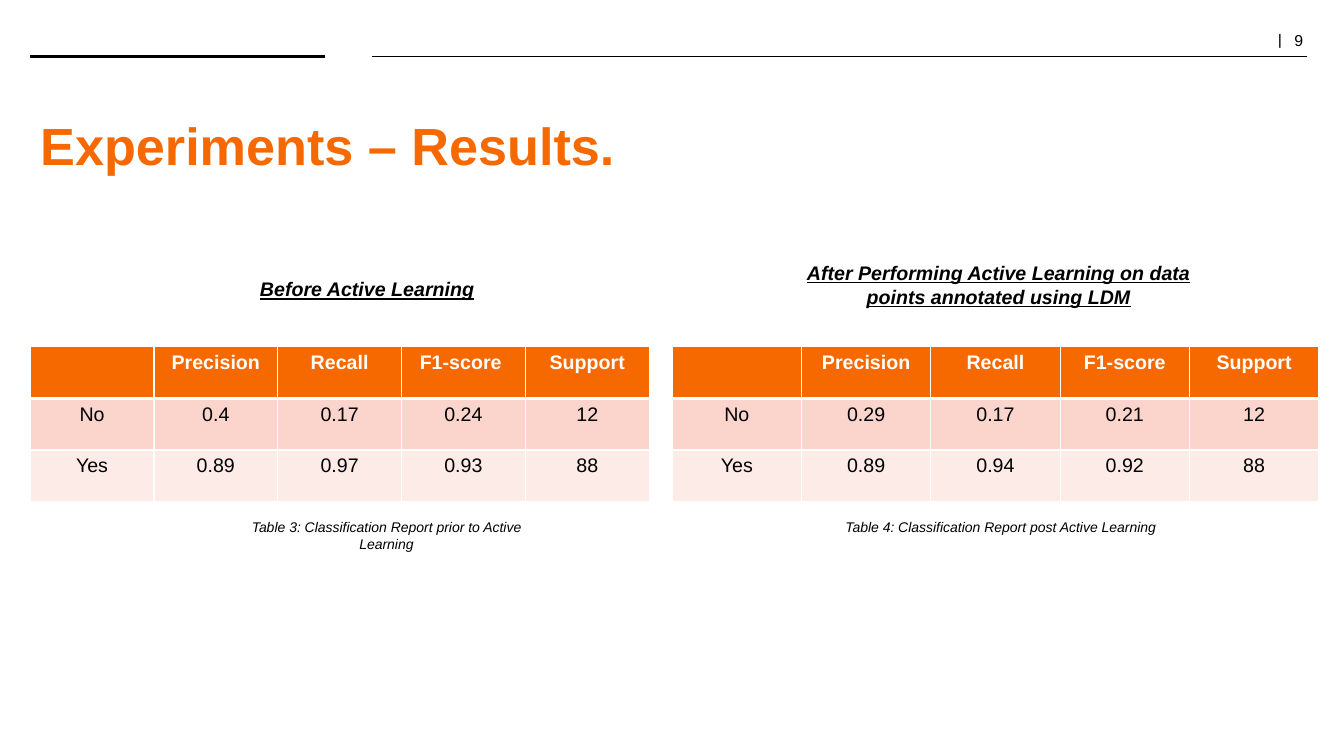
"""Build the results slide comparing classification before and after active learning."""
from dataclasses import dataclass

import pptx
import pptx.dml.color
import pptx.enum.shapes
import pptx.enum.text
import pptx.oxml
import pptx.oxml.ns
import pptx.presentation
import pptx.shapes.base
import pptx.slide
import pptx.table
import pptx.text.text
import pptx.util

Cm = pptx.util.Cm
Pt = pptx.util.Pt
RGBColor = pptx.dml.color.RGBColor
Align = pptx.enum.text.PP_ALIGN
Anchor = pptx.enum.text.MSO_ANCHOR

BLACK = RGBColor(0x00, 0x00, 0x00)
WHITE = RGBColor(0xFF, 0xFF, 0xFF)
ORANGE = RGBColor(0xF6, 0x69, 0x00)
PINK = RGBColor(0xFB, 0xD4, 0xCC)
PALE_PINK = RGBColor(0xFD, 0xEB, 0xE7)
ROW_FILLS = (ORANGE, PINK, PALE_PINK)
TABLE_TOP = 8.74
ROW_HEIGHT = 1.3


@dataclass(frozen=True)
class Box:
    left: float
    top: float
    width: float
    height: float


@dataclass(frozen=True)
class Label:
    text: str
    box: Box
    size: float
    bold: bool = False
    underline: bool = False
    space_before: float = 0


@dataclass(frozen=True)
class Report:
    left: float
    column_width: float
    rows: tuple[tuple[str, ...], ...]


@dataclass(frozen=True)
class Rule:
    start: float
    end: float
    weight: float


RULES = (Rule(0.76, 8.18, 2), Rule(9.37, 32.94, 1))

LABELS = (
    Label("Before Active Learning", Box(4.34, 6.86, 9.83, 2.44), 14,
          bold=True, underline=True, space_before=2.8),
    Label("After Performing Active Learning on data points annotated using LDM",
          Box(19.99, 6.45, 10.36, 1.45), 14, bold=True, underline=True),
    Label("Table 3: Classification Report prior to Active Learning",
          Box(6.07, 12.95, 7.34, 1.12), 10),
    Label("Table 4: Classification Report post Active Learning",
          Box(20.35, 12.95, 9.73, 0.69), 10),
)

REPORTS = (
    Report(0.76, 3.12, (
        ("", "Precision", "Recall", "F1-score ", "Support"),
        ("No", "0.4", "0.17", "0.24", "12"),
        ("Yes", "0.89", "0.97", "0.93", "88"),
    )),
    Report(16.94, 3.26, (
        ("", "Precision", "Recall", "F1-score", "Support"),
        ("No", "0.29", "0.17", "0.21", "12"),
        ("Yes", "0.89", "0.94", "0.92", "88"),
    )),
)


def write_text(paragraph: pptx.text.text._Paragraph, text: str, *, size: float,
               color: RGBColor = BLACK, font: str = "Arial", bold: bool = False,
               italic: bool = False, underline: bool = False,
               align: Align = Align.LEFT) -> None:
    """Append a formatted run to a paragraph."""
    paragraph.alignment = align
    run = paragraph.add_run()
    run.text = text
    run.font.name = font
    run.font.size = Pt(size)
    run.font.color.rgb = color
    run.font.bold = bold
    run.font.italic = italic
    run.font.underline = underline


def place(shape: pptx.shapes.base.BaseShape, box: Box) -> None:
    """Move and size a shape."""
    shape.left, shape.top = Cm(box.left), Cm(box.top)
    shape.width, shape.height = Cm(box.width), Cm(box.height)


def add_text_frame(slide: pptx.slide.Slide, box: Box) -> pptx.text.text.TextFrame:
    """Add a wrapping text box and return its frame."""
    shape = slide.shapes.add_textbox(0, 0, 0, 0)
    place(shape, box)
    shape.text_frame.word_wrap = True
    return shape.text_frame


def add_rule(slide: pptx.slide.Slide, rule: Rule) -> None:
    """Draw one header line without a shadow."""
    height = Cm(1.42)
    connector = slide.shapes.add_connector(
        pptx.enum.shapes.MSO_CONNECTOR.STRAIGHT,
        Cm(rule.start), height, Cm(rule.end), height)
    connector.line.color.rgb = BLACK
    connector.line.width = Pt(rule.weight)
    properties = connector._element.spPr
    properties.append(pptx.oxml.parse_xml(
        f'<a:effectLst {pptx.oxml.ns.nsdecls("a")}/>'))


def add_page_number(slide: pptx.slide.Slide) -> None:
    """Write the page number in the top right corner."""
    frame = add_text_frame(slide, Box(31.88, 0.71, 3.45, 0.66))
    frame.vertical_anchor = Anchor.MIDDLE
    paragraph = frame.paragraphs[0]
    paragraph.line_spacing = 0.8
    write_text(paragraph, "|  ", size=12, font="TeX Gyre Schola")
    write_text(paragraph, "9", size=11.3)


def format_title(slide: pptx.slide.Slide) -> None:
    """Fill and format the title placeholder."""
    title = slide.shapes.title
    place(title, Box(0.76, 2.67, 32.51, 1.93))
    frame = title.text_frame
    frame.auto_size = pptx.enum.text.MSO_AUTO_SIZE.NONE
    frame.vertical_anchor = Anchor.MIDDLE
    write_text(frame.paragraphs[0], "Experiments – Results.", size=37.3,
               color=ORANGE, bold=True)


def add_label(slide: pptx.slide.Slide, label: Label) -> None:
    """Add a centred italic heading or caption."""
    paragraph = add_text_frame(slide, label.box).paragraphs[0]
    paragraph.space_before = Pt(label.space_before)
    write_text(paragraph, label.text, size=label.size, bold=label.bold,
               italic=True, underline=label.underline, align=Align.CENTER)


def set_borders(cell: pptx.table._Cell, weights: dict[str, float]) -> None:
    """Give each side of a cell a white border of the given weight."""
    properties = cell._tc.get_or_add_tcPr()
    for index, (side, weight) in enumerate(weights.items()):
        properties.insert(index, pptx.oxml.parse_xml(
            f'<a:ln{side} {pptx.oxml.ns.nsdecls("a")} w="{Pt(weight)}">'
            f'<a:solidFill><a:srgbClr val="{WHITE}"/></a:solidFill></a:ln{side}>'))


def add_report(slide: pptx.slide.Slide, report: Report) -> None:
    """Add one classification report table."""
    row_count, column_count = len(report.rows), len(report.rows[0])
    table = slide.shapes.add_table(
        row_count, column_count, Cm(report.left), Cm(TABLE_TOP),
        Cm(report.column_width * column_count), Cm(ROW_HEIGHT * row_count)).table
    for row_index, values in enumerate(report.rows):
        header = row_index == 0
        weights = {"L": 1, "R": 1, "T": 3 if row_index == 1 else 1,
                   "B": 3 if header else 1}
        for column_index, value in enumerate(values):
            cell = table.cell(row_index, column_index)
            cell.fill.solid()
            cell.fill.fore_color.rgb = ROW_FILLS[row_index]
            set_borders(cell, weights)
            if value:
                write_text(cell.text_frame.paragraphs[0], value, size=14,
                           color=WHITE if header else BLACK, bold=header,
                           align=Align.CENTER)


def main() -> None:
    """Assemble and save the slide."""
    presentation = pptx.Presentation()
    presentation.slide_width, presentation.slide_height = Cm(33.87), Cm(19.05)
    slide = presentation.slides.add_slide(presentation.slide_layouts[5])
    add_page_number(slide)
    for rule in RULES:
        add_rule(slide, rule)
    format_title(slide)
    for report in REPORTS:
        add_report(slide, report)
    for label in LABELS:
        add_label(slide, label)
    presentation.save("out.pptx")


if __name__ == "__main__":
    main()
